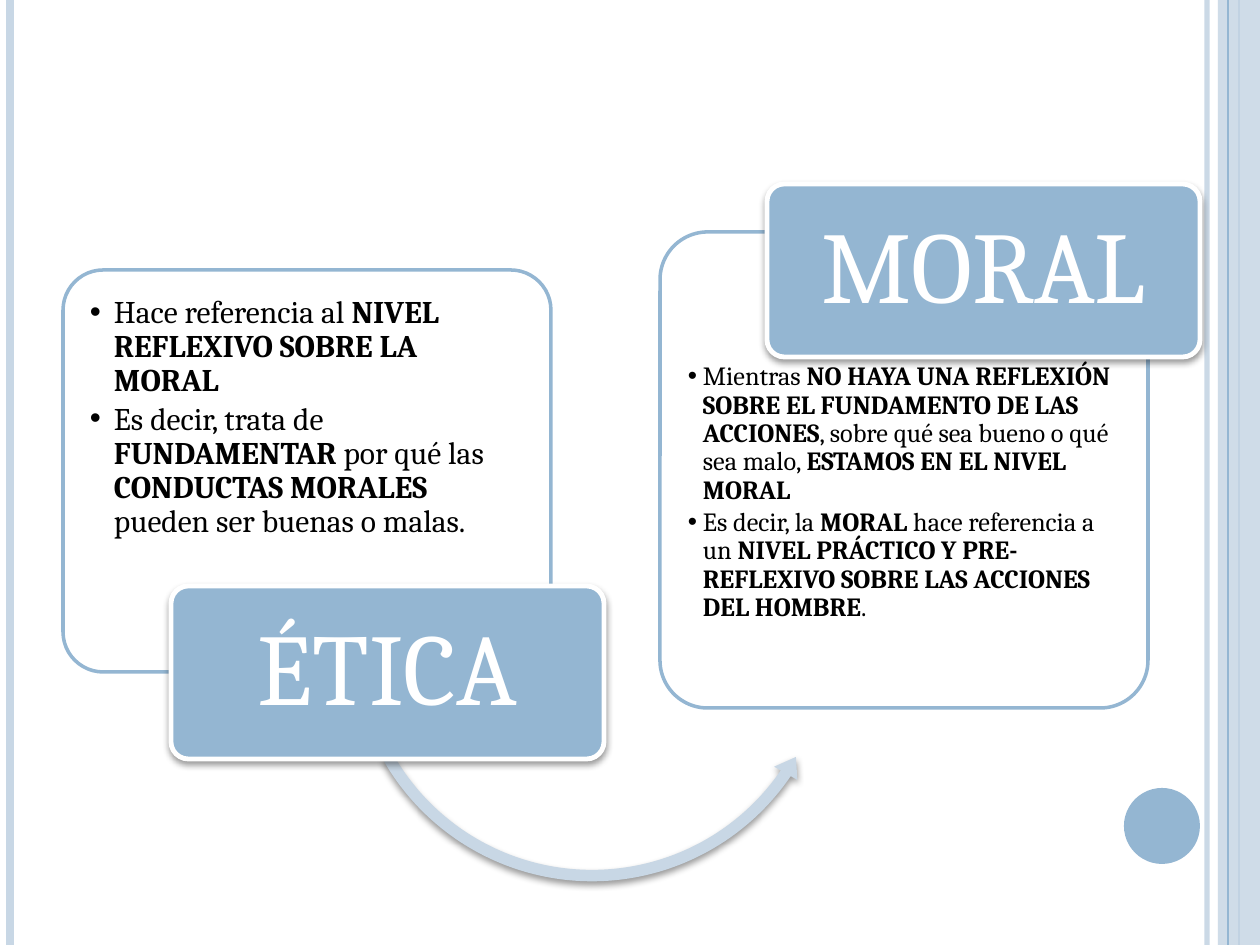
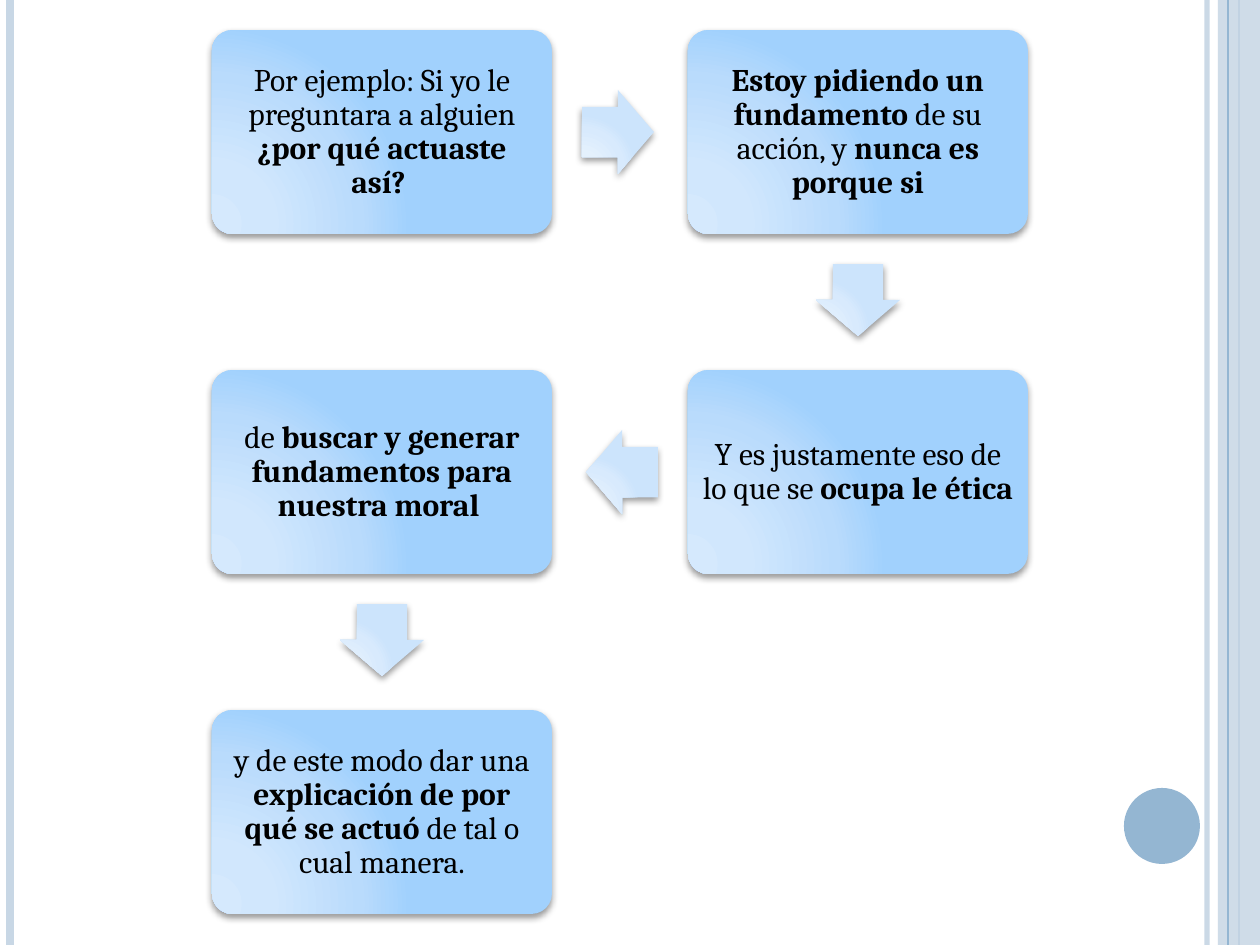
import math
from dataclasses import dataclass
from itertools import pairwise

from pptx import Presentation
from pptx import util as u
from pptx.dml.color import RGBColor
from pptx.enum import shapes, text
from pptx.oxml import parse_xml
from pptx.oxml.ns import nsdecls, qn

PX = 914400 / 126
WIDTH, HEIGHT = 1260, 945
FONT = "Cambria"
BLUE = RGBColor(0x94, 0xB6, 0xD2)
PALE_BLUE = RGBColor(0xC8, 0xD7, 0xE5)
WHITE = RGBColor(0xFF, 0xFF, 0xFF)
BLACK = RGBColor(0, 0, 0)
STOP_PLACES = (0, 30, 75, 100)
STEP_STOPS = tuple(map(RGBColor.from_string, ("D5E9FD", "D1E7FD", "B9DBFC", "A1D1FD")))
ARROW_STOPS = tuple(map(RGBColor.from_string, ("E7F2FD", "E4F1FD", "D8EAFD", "CCE4FC")))
GEOMETRY = shapes.MSO_SHAPE


@dataclass(frozen=True)
class Box:
    left: int
    top: int
    width: int
    height: int

    def emu(self) -> tuple:
        return tuple(px(n) for n in (self.left, self.top, self.width, self.height))


@dataclass(frozen=True)
class Rule:
    x: int
    color: RGBColor
    points: float
    opacity: int = 100


@dataclass(frozen=True)
class Concept:
    name: str
    panel: Box
    label: Box
    points_box: Box
    size: int
    indent: int
    points: tuple


@dataclass(frozen=True)
class Step:
    column: int
    row: int
    phrase: str

    def box(self) -> Box:
        return Box(212 + 476 * self.column, 30 + 340 * self.row, 340, 204)


RULES_BEHIND = (Rule(1207, PALE_BLUE, 3, 93), Rule(10, PALE_BLUE, 4.5), Rule(1239, BLUE, 1.5))
RULE_ON_BAND = Rule(1228, BLUE, 0.75)
BAND = Box(1218, 0, 42, HEIGHT)
DISC = Box(1124, 788, 76, 76)
ARC = Box(344, 393, 496, 496)
ARC_ADJUSTMENTS = (0.023, 2.827, 20.604, 90.267, 0.027)

ETHICS = Concept(
    "ÉTICA", Box(63, 270, 488, 402), Box(171, 586, 433, 173), Box(72, 278, 469, 297), 18, 24,
    ("Hace referencia al |NIVEL REFLEXIVO SOBRE LA MORAL",
     "Es decir, trata de |FUNDAMENTAR| por qué las |CONDUCTAS MORALES |"
     "pueden ser buenas o malas."))
MORALS = Concept(
    "MORAL", Box(660, 232, 488, 476), Box(767, 184, 433, 173), Box(670, 345, 465, 353), 15, 15,
    ("Mientras |NO HAYA UNA REFLEXIÓN SOBRE EL FUNDAMENTO DE LAS ACCIONES|"
     ", sobre qué sea bueno o qué sea malo, |ESTAMOS EN EL NIVEL MORAL",
     "Es decir, la |MORAL| hace referencia a un |"
     "NIVEL PRÁCTICO Y PRE-REFLEXIVO SOBRE LAS ACCIONES DEL HOMBRE|."))

STEPS = (
    Step(0, 0, "Por ejemplo: Si yo le preguntara a alguien |¿por qué actuaste así? "),
    Step(1, 0, "|Estoy pidiendo un fundamento |de su acción, y |nunca es porque si"),
    Step(1, 1, "Y es justamente eso de lo que se |ocupa le ética"),
    Step(0, 1, "de |buscar y generar fundamentos para nuestra moral "),
    Step(0, 2, "y de este modo dar una |explicación de por qué se actuó |de tal o cual manera."),
)


def px(count: int) -> u.Emu:
    return u.Emu(round(count * PX))


def set_opacity(properties, percent: int) -> None:
    color = properties.find(".//" + qn("a:srgbClr"))
    color.append(parse_xml(f'<a:alpha {nsdecls("a")} val="{percent * 1000}"/>'))


def add_shadow(shape) -> None:
    shape.element.spPr.find(qn("a:effectLst")).append(parse_xml(
        f'<a:outerShdw {nsdecls("a")} blurRad="{u.Pt(4)}" dist="{u.Pt(2)}" dir="5400000" '
        'rotWithShape="0"><a:srgbClr val="000000"><a:alpha val="40000"/></a:srgbClr>'
        '</a:outerShdw>'))


def fill_radial(shape, colors: tuple) -> None:
    stops = "".join(f'<a:gs pos="{place * 1000}"><a:srgbClr val="{color}"/></a:gs>'
                    for place, color in zip(STOP_PLACES, colors))
    shape.element.spPr.find(qn("a:prstGeom")).addnext(parse_xml(
        f'<a:gradFill {nsdecls("a")} rotWithShape="1"><a:gsLst>{stops}</a:gsLst>'
        '<a:path path="circle"><a:fillToRect l="5000" t="100000" r="120000" b="10000"/>'
        '</a:path></a:gradFill>'))


def add_form(slide, geometry, box: Box, fill=None, line=None, points: float = 0,
             adjustments: tuple = (), shadow: bool = False):
    form = slide.shapes.add_shape(geometry, *box.emu())
    for index, value in enumerate(adjustments):
        form.adjustments[index] = value
    if isinstance(fill, RGBColor):
        form.fill.solid()
        form.fill.fore_color.rgb = fill
    else:
        fill_radial(form, fill)
    if line is None:
        form.line.fill.background()
    else:
        form.line.color.rgb = line
        form.line.width = u.Pt(points)
    form.shadow.inherit = False
    if shadow:
        add_shadow(form)
    return form


def add_rule(slide, rule: Rule) -> None:
    stroke = slide.shapes.add_connector(
        shapes.MSO_CONNECTOR.STRAIGHT, px(rule.x), 0, px(rule.x), px(HEIGHT))
    stroke.line.color.rgb = rule.color
    stroke.line.width = u.Pt(rule.points)
    if rule.opacity < 100:
        set_opacity(stroke.element.spPr, rule.opacity)
    stroke.element.spPr.append(parse_xml(f'<a:effectLst {nsdecls("a")}/>'))


def add_frame(slide) -> None:
    for rule in RULES_BEHIND:
        add_rule(slide, rule)
    band = add_form(slide, GEOMETRY.RECTANGLE, BAND, PALE_BLUE)
    set_opacity(band.element.spPr, 87)
    add_rule(slide, RULE_ON_BAND)
    add_form(slide, GEOMETRY.OVAL, DISC, BLUE)


def set_margins(frame, across: int, down: int) -> None:
    frame.margin_left = frame.margin_right = px(across)
    frame.margin_top = frame.margin_bottom = px(down)
    frame.word_wrap = True
    frame.auto_size = text.MSO_AUTO_SIZE.NONE


def write_phrase(paragraph, phrase: str, size: int, color: RGBColor) -> None:
    paragraph.line_spacing = 0.9
    paragraph.space_before = u.Pt(0)
    for index, words in enumerate(phrase.split("|")):
        if words:
            run = paragraph.add_run()
            run.text = words
            run.font.name = FONT
            run.font.size = u.Pt(size)
            run.font.bold = index % 2 == 1
            run.font.color.rgb = color


def write_centred(form, phrase: str, size: int, color: RGBColor, across: int, down: int) -> None:
    frame = form.text_frame
    set_margins(frame, across, down)
    frame.vertical_anchor = text.MSO_ANCHOR.MIDDLE
    paragraph = frame.paragraphs[0]
    paragraph.alignment = text.PP_ALIGN.CENTER
    write_phrase(paragraph, phrase, size, color)


def add_panel(slide, concept: Concept, body) -> None:
    panel = add_form(slide, GEOMETRY.ROUNDED_RECTANGLE, concept.panel, WHITE, BLUE, 2, (0.1,))
    set_opacity(panel.element.spPr, 90)
    panel.element.addnext(body.element)
    body.left, body.top, body.width, body.height = concept.points_box.emu()
    frame = body.text_frame
    set_margins(frame, 18, 18)
    frame.vertical_anchor = text.MSO_ANCHOR.TOP
    for index, point in enumerate(concept.points):
        paragraph = frame.add_paragraph() if index else frame.paragraphs[0]
        write_phrase(paragraph, point, concept.size, BLACK)
        paragraph.alignment = text.PP_ALIGN.LEFT
        paragraph.space_after = u.Pt(concept.size * 0.15)
        properties = paragraph._p.get_or_add_pPr()
        properties.set("marL", str(px(concept.indent)))
        properties.set("indent", str(-px(concept.indent)))


def add_label(slide, concept: Concept) -> None:
    label = add_form(slide, GEOMETRY.ROUNDED_RECTANGLE, concept.label, BLUE, WHITE, 2.75,
                     (0.1,), shadow=True)
    write_centred(label, concept.name, 58, WHITE, 15, 10)


def add_step(slide, step: Step) -> None:
    card = add_form(slide, GEOMETRY.ROUNDED_RECTANGLE, step.box(), STEP_STOPS,
                    adjustments=(0.1,), shadow=True)
    write_centred(card, step.phrase, 18, BLACK, 9, 9)


def add_step_arrow(slide, start: Step, end: Step) -> None:
    across, down = end.column - start.column, end.row - start.row
    first, second = start.box(), end.box()
    center_x = (first.left + second.left + first.width) // 2 - 2 * across
    center_y = (first.top + second.top + first.height) // 2 - 2 * down
    arrow = add_form(slide, GEOMETRY.RIGHT_ARROW, Box(center_x - 36, center_y - 42, 72, 84),
                     ARROW_STOPS, adjustments=(0.6, 0.5), shadow=True)
    arrow.rotation = math.degrees(math.atan2(down, across))


def build_comparison(deck) -> None:
    slide = deck.slides.add_slide(deck.slide_layouts[3])
    title = slide.shapes.title.element
    title.getparent().remove(title)
    ethics_body, morals_body = slide.placeholders
    add_frame(slide)
    add_panel(slide, ETHICS, ethics_body)
    add_form(slide, GEOMETRY.LEFT_CIRCULAR_ARROW, ARC, PALE_BLUE,
             adjustments=ARC_ADJUSTMENTS, shadow=True)
    add_label(slide, ETHICS)
    add_panel(slide, MORALS, morals_body)
    add_label(slide, MORALS)


def build_example(deck) -> None:
    slide = deck.slides.add_slide(deck.slide_layouts[6])
    add_frame(slide)
    for step in STEPS:
        add_step(slide, step)
    for start, end in pairwise(STEPS):
        add_step_arrow(slide, start, end)


def main() -> None:
    deck = Presentation()
    deck.slide_width, deck.slide_height = px(WIDTH), px(HEIGHT)
    build_comparison(deck)
    build_example(deck)
    deck.save("out.pptx")


if __name__ == "__main__":
    main()
